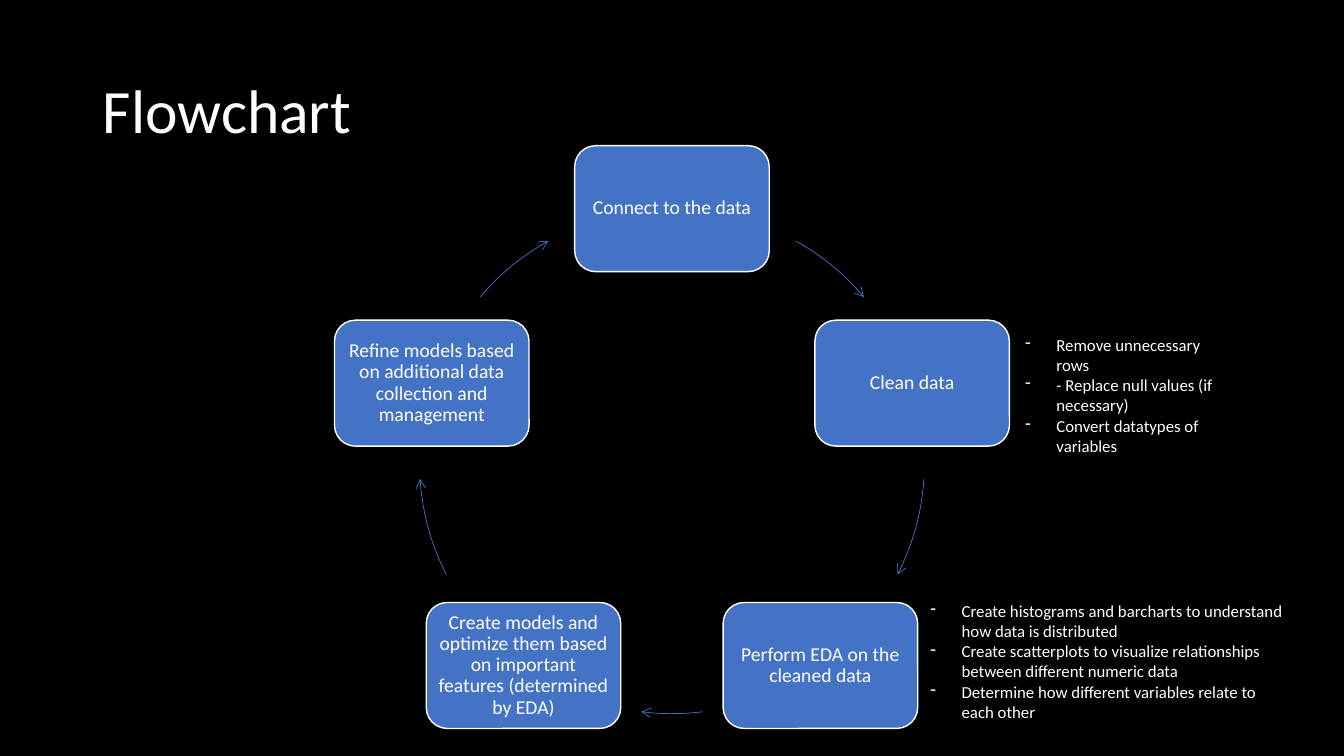
import math

import lxml.etree
import pptx
import pptx.dml.color
import pptx.enum.shapes
import pptx.enum.text
import pptx.oxml.ns
import pptx.util

Inches = pptx.util.Inches
Pt = pptx.util.Pt
ANCHOR = pptx.enum.text.MSO_ANCHOR
ALIGN = pptx.enum.text.PP_ALIGN
SHAPE = pptx.enum.shapes.MSO_SHAPE

BLACK, WHITE, BLUE = "000000", "FFFFFF", "4472C4"
STEPS = [
    "Connect to the data",
    "Clean data",
    "Perform EDA on the cleaned data",
    "Create models and optimize them based on important features (determined by EDA)",
    "Refine models based on additional data collection and management",
]
# Start and end of each arrow, in degrees clockwise from the top of the ring
ARROW_ANGLES = [(29.3, 49.5), (94, 116.7), (173, 187), (243.3, 266), (310.5, 330.7)]
CLEANING_NOTES = [
    "Remove unnecessary rows",
    "- Replace null values (if necessary)",
    "Convert datatypes of variables",
]
EDA_NOTES = [
    "Create histograms and barcharts to understand how data is distributed",
    "Create scatterplots to visualize relationships between different numeric data",
    "Determine how different variables relate to each other",
]


def colour(value):
    return pptx.dml.color.RGBColor.from_string(value)


def paint(fill, value):
    fill.solid()
    fill.fore_color.rgb = colour(value)


def add_span(para, text, size):
    span = para.add_run()
    span.text = text
    span.font.name = "Calibri"
    span.font.size = Pt(size)
    span.font.color.rgb = colour(WHITE)


def add_child(parent, tag, **attributes):
    lxml.etree.SubElement(parent, pptx.oxml.ns.qn(tag), **attributes)


def place_title(page, text, left, top, width, height):
    title = page.shapes.title
    title.left, title.top = Inches(left), Inches(top)
    title.width, title.height = Inches(width), Inches(height)
    frame = title.text_frame
    frame.vertical_anchor = ANCHOR.MIDDLE
    para = frame.paragraphs[0]
    para.alignment = ALIGN.LEFT
    para.line_spacing = 0.9
    add_span(para, text, 44)


def add_step(page, text, centre_x, centre_y, width=1.93, height=1.25):
    box = page.shapes.add_shape(
        SHAPE.ROUNDED_RECTANGLE,
        Inches(centre_x - width / 2), Inches(centre_y - height / 2),
        Inches(width), Inches(height))
    box.shadow.inherit = False
    paint(box.fill, BLUE)
    paint(box.line.fill, WHITE)
    box.line.width = Pt(1)
    frame = box.text_frame
    frame.word_wrap = True
    frame.vertical_anchor = ANCHOR.MIDDLE
    frame.margin_left = frame.margin_right = Inches(0.06)
    frame.margin_top = frame.margin_bottom = Inches(0.06)
    para = frame.paragraphs[0]
    para.alignment = ALIGN.CENTER
    para.line_spacing = 0.9
    add_span(para, text, 14)


def add_ring_arrow(page, left, top, size, angles):
    """Draw one arc of the ring, with an arrowhead at its clockwise end."""
    arc = page.shapes.add_shape(
        SHAPE.ARC, Inches(left), Inches(top), Inches(size), Inches(size))
    arc.shadow.inherit = False
    for index, angle in enumerate(angles):
        # Arc angles run from the right-hand side, in units of 5/3 degree
        arc.adjustments[index] = (angle + 270) % 360 * 0.6
    arc.fill.background()
    paint(arc.line.fill, BLUE)
    arc.line.width = Pt(0.5)
    add_child(arc.line._get_or_add_ln(), "a:tailEnd", type="arrow")


def add_cycle(page, left, top, size):
    """Space the steps evenly round a ring, starting at its top."""
    radius = size / 2
    for index, (text, angles) in enumerate(zip(STEPS, ARROW_ANGLES)):
        turn = 2 * math.pi * index / len(STEPS)
        add_step(page, text,
                 left + radius + radius * math.sin(turn),
                 top + radius - radius * math.cos(turn))
        add_ring_arrow(page, left, top, size, angles)


def add_notes_list(page, lines, left, top, width, height):
    box = page.shapes.add_textbox(
        Inches(left), Inches(top), Inches(width), Inches(height))
    frame = box.text_frame
    frame.word_wrap = True
    frame.auto_size = pptx.enum.text.MSO_AUTO_SIZE.SHAPE_TO_FIT_TEXT
    indent = Inches(0.31)
    for index, line in enumerate(lines):
        para = frame.add_paragraph() if index else frame.paragraphs[0]
        properties = para._p.get_or_add_pPr()
        properties.set("marL", str(indent))
        properties.set("indent", str(-indent))
        add_child(properties, "a:buChar", char="-")
        add_span(para, line, 12)


def main():
    deck = pptx.Presentation()
    deck.slide_width, deck.slide_height = Inches(13.33), Inches(7.5)
    page = deck.slides.add_slide(deck.slide_layouts.get_by_name("Title Only"))
    paint(page.background.fill, BLACK)
    place_title(page, "Flowchart", 0.92, 0.4, 11.5, 1.45)
    add_cycle(page, 4.16, 2.07, 5.01)
    add_notes_list(page, CLEANING_NOTES, 10.07, 3.27, 2.24, 1.31)
    add_notes_list(page, EDA_NOTES, 9.13, 5.91, 3.73, 1.31)
    deck.save("out.pptx")


if __name__ == "__main__":
    main()
